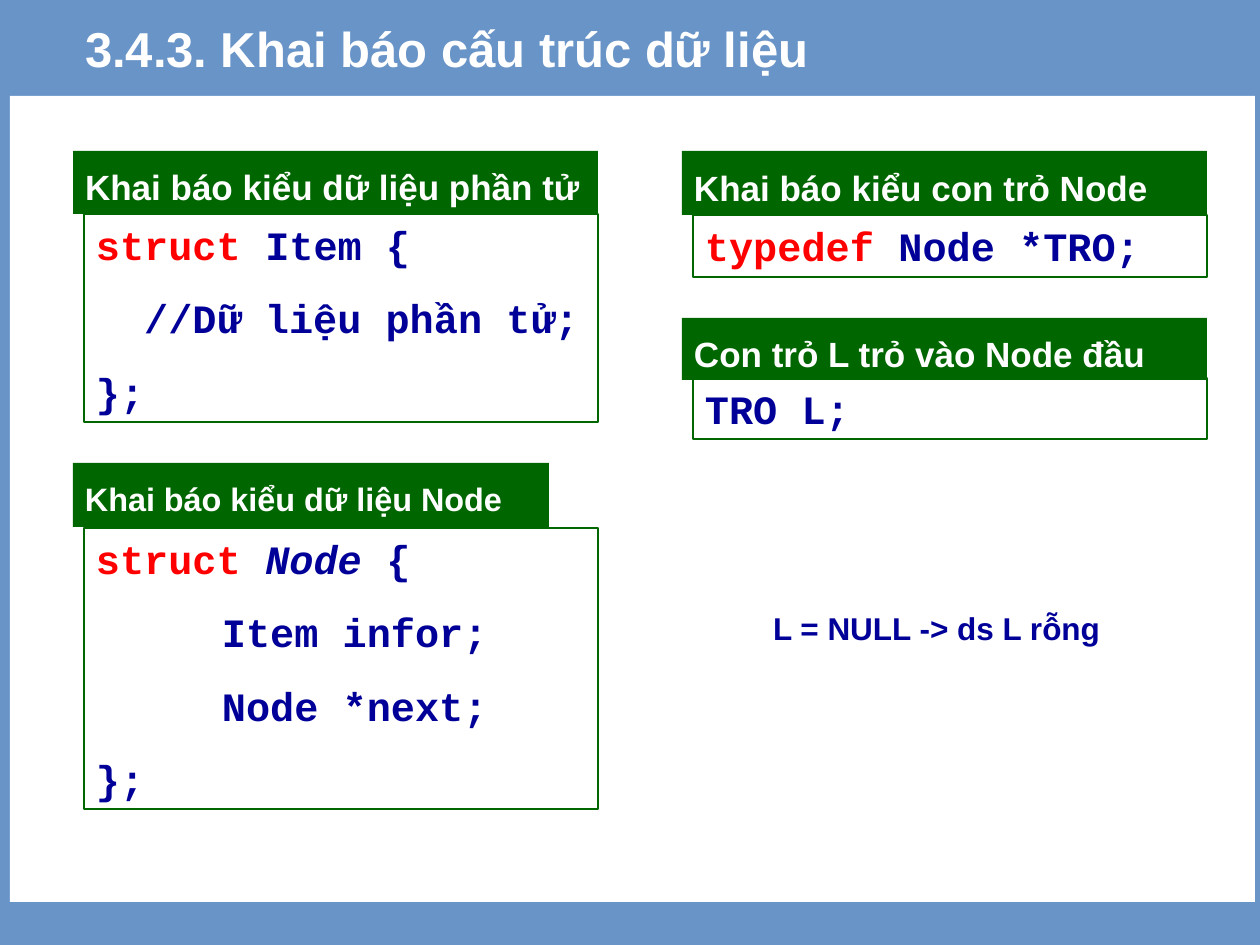
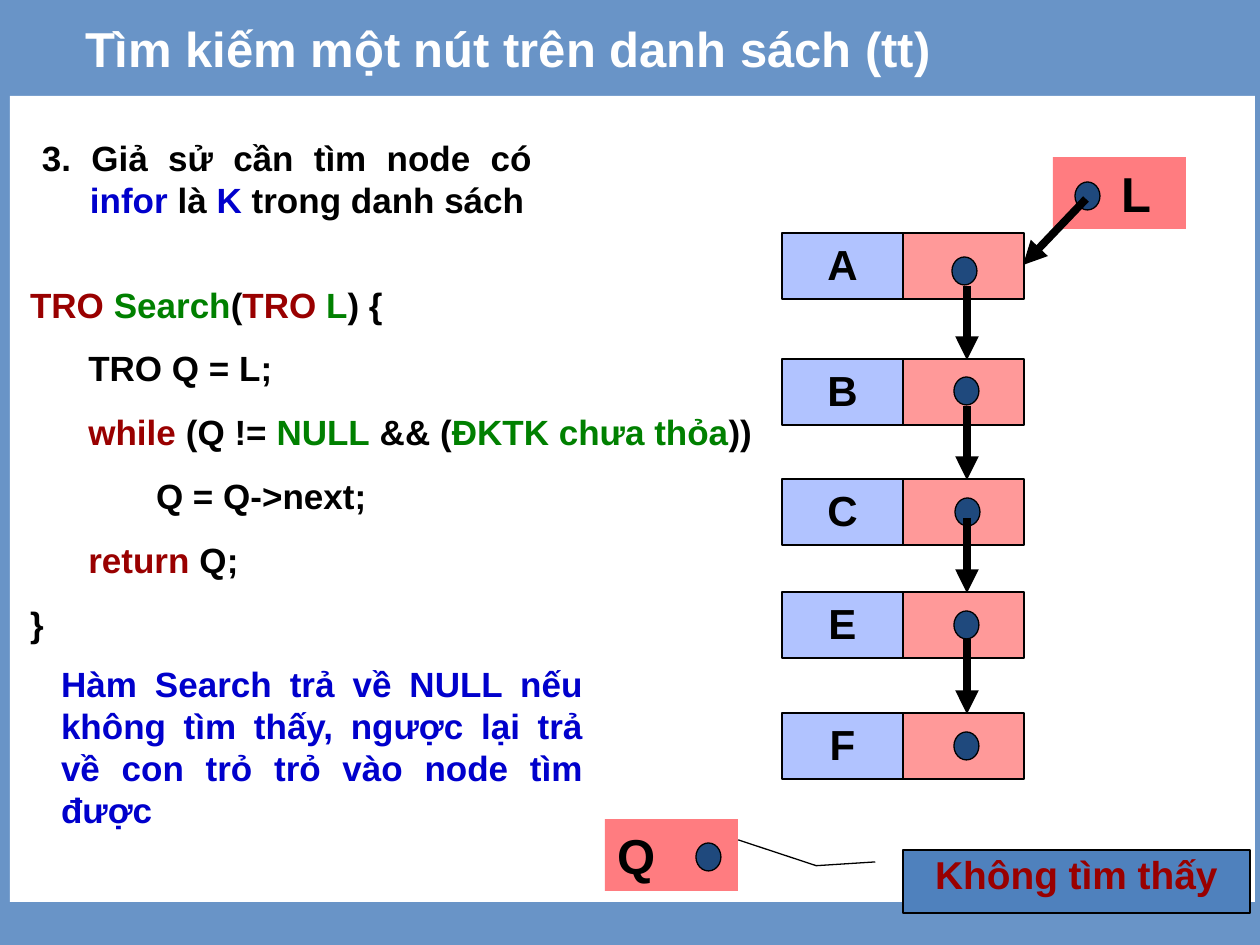
from lxml import etree
from pptx import Presentation
from pptx.dml.color import RGBColor
from pptx.enum.shapes import MSO_CONNECTOR, MSO_SHAPE as Shape
from pptx.enum.text import MSO_ANCHOR as Anchor, MSO_AUTO_SIZE, PP_ALIGN as Align
from pptx.oxml.ns import qn
from pptx.util import Pt

BACKDROP = RGBColor(0x69, 0x94, 0xC7)
WHITE = RGBColor(0xFF, 0xFF, 0xFF)
BLACK = RGBColor(0, 0, 0)
NAVY = RGBColor(0, 0, 0x99)
BLUE = RGBColor(0, 0, 0xCC)
RED = RGBColor(0xFF, 0, 0)
MAROON = RGBColor(0x99, 0, 0)
GREEN = RGBColor(0, 0x80, 0)
HEADER_GREEN = RGBColor(0, 0x66, 0)
INFOR_FILL = RGBColor(0xB1, 0xC3, 0xFF)
LINK_FILL = RGBColor(0xFF, 0x99, 0x99)
POINTER_FILL = RGBColor(0xFF, 0x7C, 0x80)
DOT_FILL = RGBColor(0x1F, 0x49, 0x7D)
NOTE_FILL = RGBColor(0x4F, 0x81, 0xBD)

SANS, MONO = "Arial", "Courier New"
PX = 914400 / 126
TAB = 126
PANEL = (10, 96, 1245, 806)
TITLE = (73, 1, 1158, 94)

DECLARATION_TITLE = "3.4.3. Khai báo cấu trúc dữ liệu"
DECLARATIONS = [
    ("Khai báo kiểu dữ liệu phần tử", 20, (73, 151, 525, 63), (84, 214, 514, 208), [
        [("struct ", RED), ("Item {", NAVY)],
        [("  //Dữ liệu phần tử;", NAVY)],
        [("};", NAVY)],
    ]),
    ("Khai báo kiểu dữ liệu Node", 18.5, (73, 463, 476, 64), (84, 528, 514, 281), [
        [("struct ", RED), ("Node ", NAVY, True), ("{", NAVY)],
        [("\tItem infor;", NAVY)],
        [("\tNode *next;", NAVY)],
        [("};", NAVY)],
    ]),
    ("Khai báo kiểu con trỏ Node", 20, (682, 151, 525, 64), (693, 215, 514, 62), [
        [("typedef", RED), (" Node *TRO;", NAVY)],
    ]),
    ("Con trỏ L trỏ vào Node đầu", 20, (682, 318, 525, 62), (693, 378, 514, 61), [
        [("TRO L;", NAVY)],
    ]),
]
EMPTY_LIST = [[("L = NULL -> ds L rỗng", NAVY)]]

SEARCH_TITLE = "Tìm kiếm một nút trên danh sách (tt)"
TASK = [[
    ("3. Giả sử cần tìm node có ", BLACK), ("infor", BLUE), (" là ", BLACK),
    ("K ", BLUE), ("trong danh sách", BLACK),
]]
SEARCH_CODE = [
    [("TRO ", MAROON), ("Search", GREEN), ("(", BLACK), ("TRO", MAROON),
     (" L", GREEN), (") {", BLACK)],
    [("      TRO Q = L;", BLACK)],
    [("      while", MAROON), (" (Q != ", BLACK), ("NULL", GREEN), (" && (", BLACK),
     ("ĐKTK chưa thỏa", GREEN), ("))", BLACK)],
    [("\tQ = Q->next;", BLACK)],
    [("      return", MAROON), (" Q;", BLACK)],
    [("}", BLACK)],
]
RESULT = [[(
    "Hàm Search trả về NULL nếu không tìm thấy, ngược lại trả về con trỏ trỏ vào node tìm được",
    BLUE,
)]]
NOT_FOUND = [[("Không tìm thấy", MAROON)]]
CALLOUT_BENDS = (0.19, -0.08, 0.25, -0.25, -0.16, -0.475)

NODES = [
    ("A", 233, (952, 257), 286),
    ("B", 359, (954, 377), 406),
    ("C", 479, (955, 498), 518),
    ("E", 592, (954, 611), 639),
    ("F", 713, (954, 732), None),
]
INFOR_LEFT, CELL_WIDTH, CELL_HEIGHT = 782, 121, 66
ARROW_X = 967
POINTERS = [("L", (1053, 157), 68, (1075, 182)), ("Q", (605, 819), 12, (696, 843))]
HEAD_ARROW = (1086, 199, 1023, 265)


def emu(*lengths):
    return [round(length * PX) for length in lengths]


def write(box, paragraphs, size, font=SANS, align=Align.LEFT, gap=0, line=None,
          top=6, left=12, hanging=0, anchor=Anchor.TOP):
    frame = box.text_frame
    frame.word_wrap = True
    frame.auto_size = MSO_AUTO_SIZE.NONE
    frame.vertical_anchor = anchor
    (frame.margin_left, frame.margin_top,
     frame.margin_right, frame.margin_bottom) = emu(left, top, 12, 6)
    for index, spans in enumerate(paragraphs):
        para = frame.add_paragraph() if index else frame.paragraphs[0]
        properties = para._p.get_or_add_pPr()
        if spans[0][0].startswith("\t"):
            stops = etree.SubElement(properties, qn("a:tabLst"))
            etree.SubElement(stops, qn("a:tab"), pos=str(emu(TAB)[0]), algn="l")
        para.alignment = align
        para.space_before = Pt(gap if index else 0)
        if line:
            para.line_spacing = line
        if hanging:
            indent = emu(hanging)[0]
            properties.set("marL", str(indent))
            properties.set("indent", str(-indent))
        for text, colour, *italic in spans:
            span = para.add_run()
            span.text = text
            span.font.name = font
            span.font.size = Pt(size)
            span.font.bold = True
            span.font.italic = bool(italic)
            span.font.color.rgb = colour


def add_box(page, area, fill=None, outline=None, weight=0.75, kind=Shape.RECTANGLE):
    box = page.shapes.add_shape(kind, *emu(*area))
    box.shadow.inherit = False
    if fill is None:
        box.fill.background()
    else:
        box.fill.solid()
        box.fill.fore_color.rgb = fill
    if outline is None:
        box.line.fill.background()
    else:
        box.line.color.rgb = outline
        box.line.width = Pt(weight)
    return box


def add_text(page, area, paragraphs, size, **style):
    write(page.shapes.add_textbox(*emu(*area)), paragraphs, size, **style)


def add_dot(page, place):
    add_box(page, (*place, 25, 28), DOT_FILL, BLACK, kind=Shape.OVAL)


def add_arrow(page, *ends):
    arrow = page.shapes.add_connector(MSO_CONNECTOR.STRAIGHT, *emu(*ends))
    arrow.line.color.rgb = BLACK
    arrow.line.width = Pt(4.5)
    etree.SubElement(arrow.line._get_or_add_ln(), qn("a:tailEnd"), type="triangle")
    etree.SubElement(arrow._element.spPr, qn("a:effectLst"))


def add_page(deck, title):
    page = deck.slides.add_slide(deck.slide_layouts[5])
    heading = page.shapes.title
    heading.left, heading.top, heading.width, heading.height = emu(*TITLE)
    write(heading, [[(title, WHITE)]], 28, anchor=Anchor.MIDDLE)
    add_box(page, PANEL, WHITE)
    return page


def build_declarations(deck):
    page = add_page(deck, DECLARATION_TITLE)
    for label, size, header_area, code_area, code in DECLARATIONS:
        body = add_box(page, code_area, outline=HEADER_GREEN, weight=1)
        write(body, code, 23, font=MONO, gap=14.4)
        header = add_box(page, header_area, HEADER_GREEN)
        write(header, [[(label, WHITE)]], size, line=1.2, anchor=Anchor.MIDDLE)
    add_text(page, (761, 603, 370, 51), EMPTY_LIST, 18)


def build_search(deck):
    page = add_page(deck, SEARCH_TITLE)
    for index, (letter, top, dot, arrow_top) in enumerate(NODES):
        infor, link = [
            add_box(page, (INFOR_LEFT + column * CELL_WIDTH, top, CELL_WIDTH, CELL_HEIGHT),
                    fill, BLACK)
            for column, fill in enumerate((INFOR_FILL, LINK_FILL))
        ]
        write(infor, [[(letter, BLACK)]], 24, align=Align.CENTER)
        add_dot(page, dot)
        if arrow_top:
            add_arrow(page, ARROW_X, arrow_top, ARROW_X, NODES[index + 1][1] + 1)
    for name, corner, inset, dot in POINTERS:
        pointer = add_box(page, (*corner, 133, 72), POINTER_FILL)
        write(pointer, [[(name, BLACK)]], 28, left=inset)
        add_dot(page, dot)
    add_arrow(page, *HEAD_ARROW)
    add_text(page, (30, 130, 514, 105), TASK, 20, align=Align.JUSTIFY, hanging=48)
    callout = add_box(page, (903, 850, 347, 63), NOTE_FILL, BLACK, kind=Shape.LINE_CALLOUT_2)
    for index, bend in enumerate(CALLOUT_BENDS):
        callout.adjustments[index] = bend
    write(callout, NOT_FOUND, 22.2, align=Align.CENTER, line=0.9)
    add_text(page, (18, 277, 798, 374), SEARCH_CODE, 20, gap=12.5)
    add_text(page, (49, 656, 546, 181), RESULT, 20, align=Align.JUSTIFY)


def main():
    deck = Presentation()
    deck.slide_width, deck.slide_height = emu(1260, 945)
    backdrop = deck.slide_master.background.fill
    backdrop.solid()
    backdrop.fore_color.rgb = BACKDROP
    build_declarations(deck)
    build_search(deck)
    deck.save("out.pptx")


if __name__ == "__main__":
    main()
